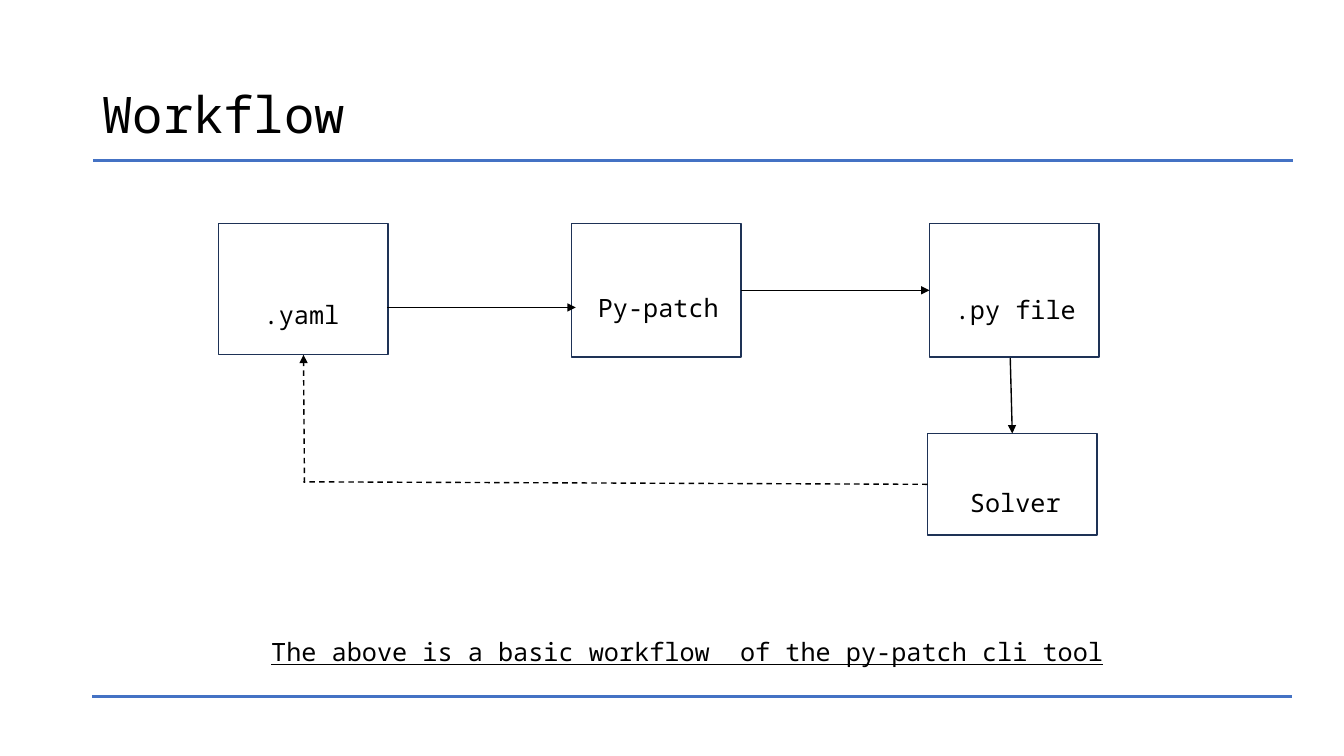
from dataclasses import dataclass
from typing import Optional

from lxml import etree
from pptx import Presentation
from pptx.dml.color import RGBColor
from pptx.enum.dml import MSO_LINE
from pptx.enum.shapes import MSO_CONNECTOR, MSO_SHAPE
from pptx.enum.text import MSO_ANCHOR, PP_ALIGN
from pptx.oxml.ns import qn
from pptx.util import Inches, Pt

BLACK = RGBColor(0x00, 0x00, 0x00)
NAVY = RGBColor(0x1E, 0x32, 0x56)
BLUE = RGBColor(0x44, 0x72, 0xC4)
FONT = "Noto Sans Mono"
TOP, LEFT, BOTTOM, RIGHT = range(4)
BOX_W = 1.68
LABEL_W, LABEL_H = 1.64, 0.4


@dataclass
class Step:
    text: str
    x: float
    y: float
    h: float
    label_x: float
    label_y: float


@dataclass
class Link:
    start: tuple[float, float]
    end: tuple[float, float]
    color: RGBColor = BLACK
    width: float = 1
    dashed: bool = False
    arrow: bool = False
    # (step name, side) of the boxes the ends are joined to
    source: Optional[tuple[str, int]] = None
    target: Optional[tuple[str, int]] = None


STEPS = [
    Step(".yaml", 2.17, 2.22, 1.3, 2.17, 2.92),
    Step("Py-patch", 5.67, 2.22, 1.32, 5.71, 2.85),
    Step(".py file", 9.22, 2.22, 1.32, 9.25, 2.87),
    Step("Solver", 9.2, 4.3, 1.01, 9.25, 4.79),
]

LINKS = [
    Link((12.82, 1.59), (0.92, 1.59), BLUE, 2),
    Link((12.81, 6.91), (0.91, 6.91), BLUE, 2),
    Link((3.84, 3.05), (5.71, 3.05), arrow=True),
    Link((7.35, 2.88), (9.22, 2.88), arrow=True,
         source=("Py-patch", RIGHT), target=(".py file", LEFT)),
    Link((10.02, 3.55), (10.04, 4.3), arrow=True, target=("Solver", TOP)),
    Link((9.2, 4.8), (3.01, 4.78), dashed=True, source=("Solver", LEFT)),
    Link((3.02, 4.79), (3, 3.52), dashed=True, arrow=True,
         target=(".yaml", BOTTOM)),
]


def add_text(shapes, text: str, x: float, y: float, w: float, h: float,
             size: float = 18, align=PP_ALIGN.CENTER, anchor=MSO_ANCHOR.TOP,
             underline: bool = False):
    tf = shapes.add_textbox(Inches(x), Inches(y), Inches(w), Inches(h)).text_frame
    tf.word_wrap = True
    tf.vertical_anchor = anchor
    tf.text = text
    p = tf.paragraphs[0]
    p.alignment = align
    font = p.runs[0].font
    font.name, font.size = FONT, Pt(size)
    font.color.rgb = BLACK
    if underline:
        font.underline = True


def add_step(shapes, step: Step):
    sp = shapes.add_shape(MSO_SHAPE.RECTANGLE, Inches(step.x), Inches(step.y),
                          Inches(BOX_W), Inches(step.h))
    sp.shadow.inherit = False
    sp.fill.background()
    sp.line.color.rgb = NAVY
    sp.line.width = Pt(1)
    add_text(shapes, step.text, step.label_x, step.label_y, LABEL_W, LABEL_H)
    return sp


def add_link(shapes, link: Link, boxes: dict):
    cxn = shapes.add_connector(MSO_CONNECTOR.STRAIGHT,
                               *map(Inches, link.start + link.end))
    if link.source:
        name, side = link.source
        cxn.begin_connect(boxes[name], side)
    if link.target:
        name, side = link.target
        cxn.end_connect(boxes[name], side)
    cxn.line.color.rgb = link.color
    cxn.line.width = Pt(link.width)
    if link.dashed:
        cxn.line.dash_style = MSO_LINE.DASH
    if link.arrow:
        etree.SubElement(cxn.line._get_or_add_ln(), qn("a:tailEnd"), type="triangle")
    etree.SubElement(cxn._element.spPr, qn("a:effectLst"))


def main():
    prs = Presentation()
    prs.slide_width, prs.slide_height = Inches(13.33), Inches(7.5)
    shapes = prs.slides.add_slide(prs.slide_layouts[6]).shapes

    add_text(shapes, "Workflow", 0.92, 0.4, 11.5, 1.45, size=36,
             align=PP_ALIGN.LEFT, anchor=MSO_ANCHOR.MIDDLE)
    boxes = {step.text: add_step(shapes, step) for step in STEPS}
    for link in LINKS:
        add_link(shapes, link, boxes)
    add_text(shapes, "The above is a basic workflow  of the py-patch cli tool",
             0.82, 6.26, 11.99, 0.4, underline=True)

    prs.save("out.pptx")


if __name__ == "__main__":
    main()
